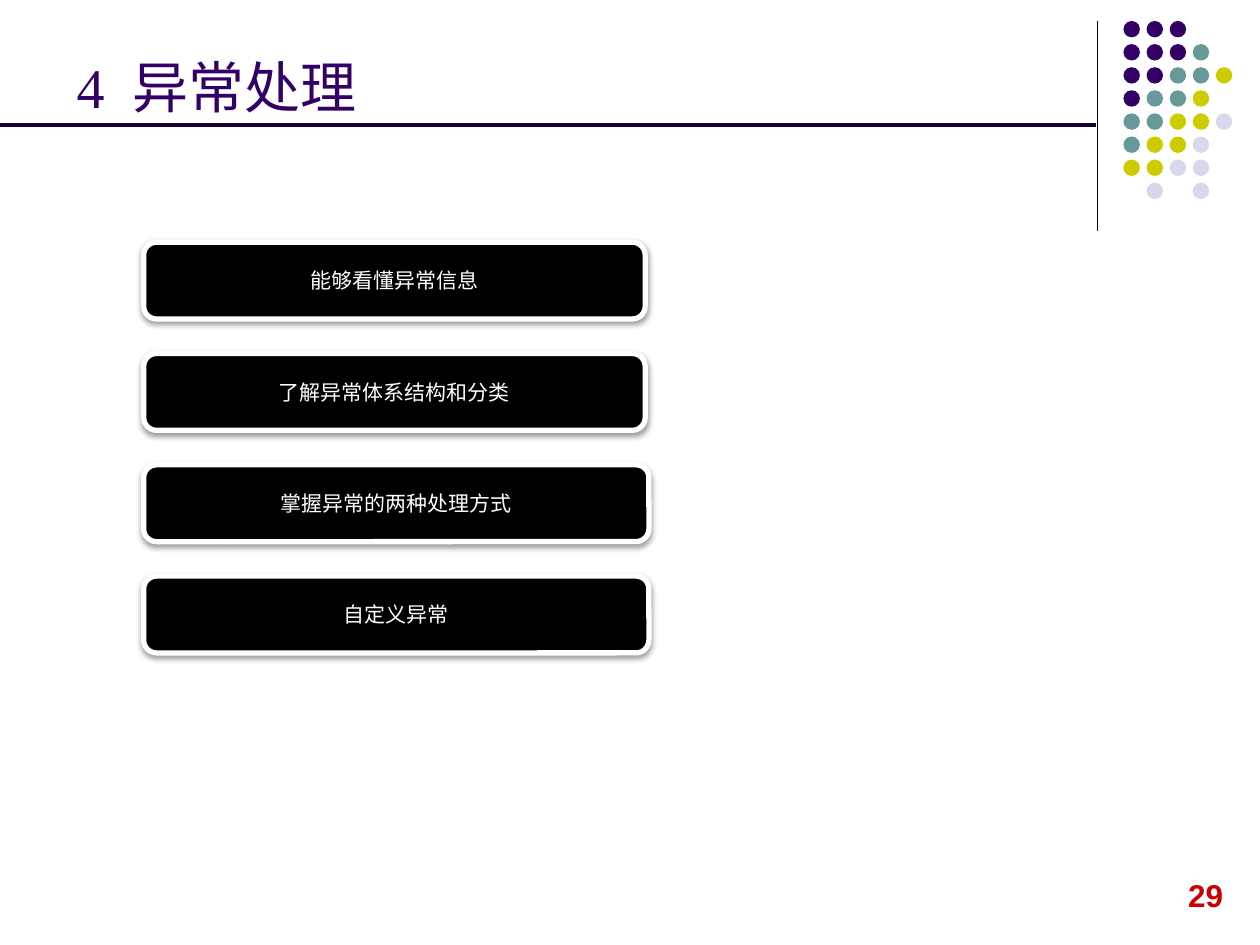
from lxml import etree
from pptx import Presentation
from pptx.dml.color import RGBColor
from pptx.enum import shapes, text
from pptx.oxml import ns
from pptx.util import Pt

COLORS = {
    "ink": "000000", "paper": "FFFFFF", "rule": "190033", "number": "CC0000",
    "P": "330066", "T": "669999", "Y": "CCCC00", "L": "D8D8EC",
}
CJK = "Noto Sans CJK JP"
DOT_ROWS = ["PPP", "PPPT", "PPTTY", "PTTY", "TTYYL", "TYYL", "YYLL", " L L"]
CARDS = [  # label, width
    ("能够看懂异常信息", 286.6),
    ("了解异常体系结构和分类", 286.6),
    ("掌握异常的两种处理方式", 288.7),
    ("自定义异常", 288.7),
]


def rgb(key):
    return RGBColor.from_string(COLORS[key])


def add_run(p, words, color, **fmt):
    r = p.add_run()
    r.text = words
    for name, value in fmt.items():
        setattr(r.font, name, value)
    r.font.color.rgb = rgb(color)
    etree.SubElement(r.font._element, ns.qn("a:ea"), typeface=CJK)
    return r


def add_line(s, x1, y1, x2, y2, color, width):
    line = s.shapes.add_connector(shapes.MSO_CONNECTOR.STRAIGHT,
                                  Pt(x1), Pt(y1), Pt(x2), Pt(y2))
    line.line.color.rgb = rgb(color)
    line.line.width = Pt(width)
    etree.SubElement(line._element.spPr, ns.qn("a:effectLst"))


def add_text(s, box, wrap):
    tf = s.shapes.add_textbox(*map(Pt, box)).text_frame
    tf.word_wrap = wrap
    return tf


def add_shadow(sp):
    effects = sp._element.spPr.find(ns.qn("a:effectLst"))
    shadow = etree.SubElement(effects, ns.qn("a:outerShdw"), blurRad=str(Pt(3.1)),
                              dist=str(Pt(1.6)), dir="5400000", rotWithShape="0")
    color = etree.SubElement(shadow, ns.qn("a:srgbClr"), val=COLORS["ink"])
    etree.SubElement(color, ns.qn("a:alpha"), val="38000")


def dot_grid(s, left, top, pitch=13.2, size=9.4):
    group = s.shapes.add_group_shape()
    for row, keys in enumerate(DOT_ROWS):
        for col, key in enumerate(keys):
            if key == " ":
                continue
            sp = group.shapes.add_shape(
                shapes.MSO_SHAPE.OVAL, Pt(left + col * pitch), Pt(top + row * pitch),
                Pt(size), Pt(size))
            sp.shadow.inherit = False
            sp.fill.solid()
            sp.fill.fore_color.rgb = rgb(key)
            sp.line.fill.background()


def title(s, box):
    tf = add_text(s, box, True)
    tf.vertical_anchor = text.MSO_ANCHOR.BOTTOM
    p = tf.paragraphs[0]
    for words in ("4", " ", "异常处理"):
        r = add_run(p, words, "P", name="Times New Roman", size=Pt(32))
        if words == " ":
            r.font._element.set("spc", "800")  # widens the gap after the number


def page_number(s, box):
    tf = add_text(s, box, False)
    add_run(tf.paragraphs[0], "29", "number", name="Arial", size=Pt(18), bold=True)


def card_list(s, left, top, pitch=63.6, height=43.9):
    for i, (label, width) in enumerate(CARDS):
        sp = s.shapes.add_shape(shapes.MSO_SHAPE.ROUNDED_RECTANGLE, Pt(left),
                                Pt(top + i * pitch), Pt(width), Pt(height))
        sp.shadow.inherit = False
        add_shadow(sp)
        sp.fill.solid()
        sp.fill.fore_color.rgb = rgb("ink")
        sp.line.color.rgb = rgb("paper")
        sp.line.width = Pt(3)
        tf = sp.text_frame
        tf.word_wrap = True
        tf.vertical_anchor = text.MSO_ANCHOR.MIDDLE
        p = tf.paragraphs[0]
        p.alignment = text.PP_ALIGN.CENTER
        add_run(p, label, "paper", name=CJK, size=Pt(12))


def main():
    prs = Presentation()
    prs.slide_width, prs.slide_height = Pt(720), Pt(540)
    s = prs.slides.add_slide(prs.slide_layouts[6])

    # Corner decoration and page number
    add_line(s, 627, 12, 627, 132, "ink", 0.75)
    dot_grid(s, 642, 12)
    page_number(s, (671.8, 496.8, 34.6, 28.8))

    # Title with its rule
    title(s, (36.7, 15.1, 594, 56.9))
    add_line(s, 0, 71.5, 626.4, 71.5, "rule", 2.25)

    # Learning goals
    card_list(s, 82.1, 138.4)

    prs.save("out.pptx")


if __name__ == "__main__":
    main()
